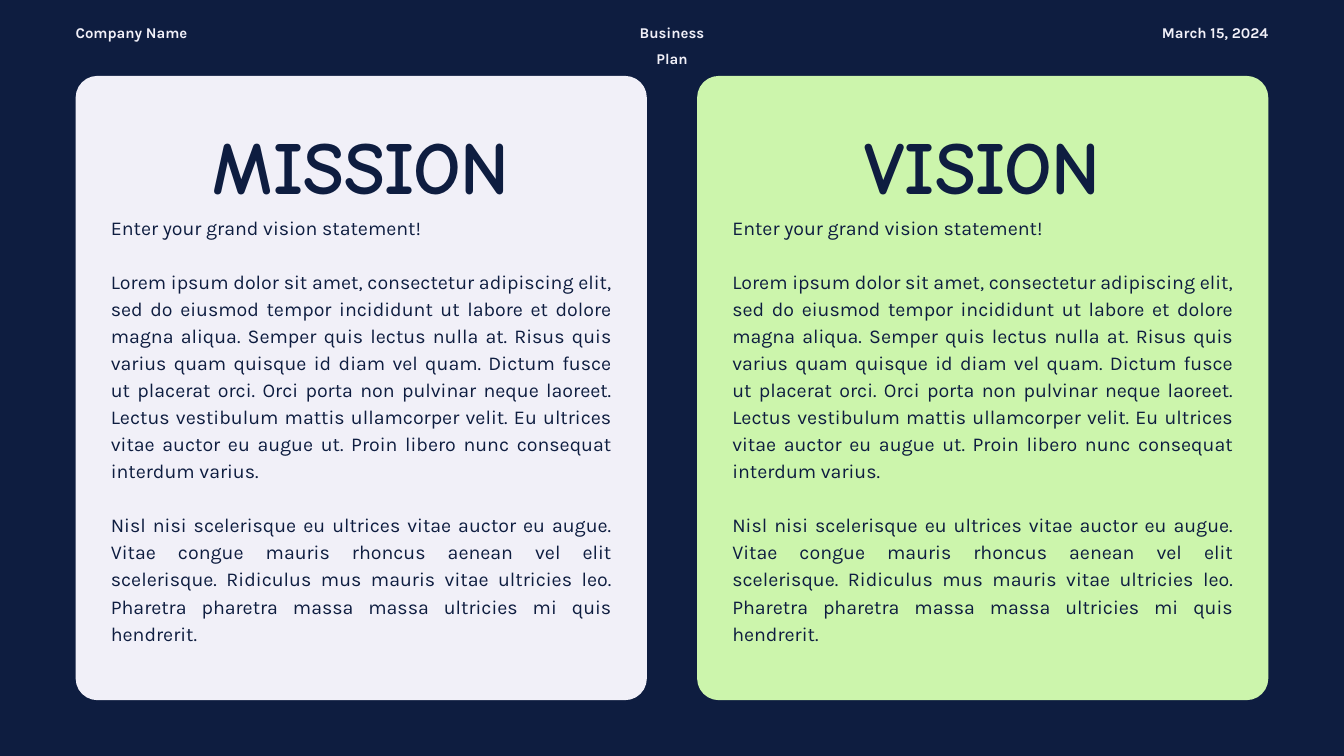
from dataclasses import dataclass

from pptx import Presentation
from pptx.dml.color import RGBColor
from pptx.enum import shapes, text
from pptx.util import Cm, Pt

ALIGN = text.PP_ALIGN


@dataclass(frozen=True)
class Theme:
    navy: str = "0E1D40"
    lavender: str = "F1F0F8"
    lime: str = "CCF5AC"
    heading_font: str = "Comic Neue"
    body_font: str = "Karla"
    heading_size: int = 80
    body_size: int = 21
    header_size: int = 16
    paragraph_gap: int = 29


class PageBuilder:
    def __init__(self, page, theme):
        self.page = page
        self.theme = theme

    def background(self):
        fill = self.page.background.fill
        fill.solid()
        fill.fore_color.rgb = RGBColor.from_string(self.theme.navy)

    def card(self, left, top, width, height, color):
        card = self.page.shapes.add_shape(
            shapes.MSO_SHAPE.ROUNDED_RECTANGLE, Cm(left), Cm(top), Cm(width), Cm(height))
        card.adjustments[0] = 0.038
        card.shadow.inherit = False
        card.fill.solid()
        card.fill.fore_color.rgb = RGBColor.from_string(color)
        card.line.fill.background()

    def fill_text(self, box, paragraphs, font, size, color, align, spacing, bold=False):
        frame = box.text_frame
        frame.word_wrap = True
        frame.auto_size = text.MSO_AUTO_SIZE.SHAPE_TO_FIT_TEXT
        frame.vertical_anchor = text.MSO_ANCHOR.TOP
        frame.margin_left = frame.margin_right = 0
        frame.margin_top = frame.margin_bottom = 0
        for index, words in enumerate(paragraphs):
            para = frame.add_paragraph() if index else frame.paragraphs[0]
            para.alignment = align
            para.line_spacing = spacing
            para.space_before = Pt(self.theme.paragraph_gap if index else 0)
            span = para.add_run()
            span.text = words
            span.font.name = font
            span.font.size = Pt(size)
            span.font.bold = bold
            span.font.color.rgb = RGBColor.from_string(color)

    def text_box(self, left, top, width, height):
        return self.page.shapes.add_textbox(Cm(left), Cm(top), Cm(width), Cm(height))

    def title_box(self, left, top, width, height):
        box = self.page.shapes.title
        box.left, box.top, box.width, box.height = Cm(left), Cm(top), Cm(width), Cm(height)
        return box

    def heading(self, box, words):
        theme = self.theme
        self.fill_text(box, [words], theme.heading_font, theme.heading_size,
                       theme.navy, ALIGN.CENTER, 0.8, bold=True)

    def body(self, box, paragraphs):
        theme = self.theme
        self.fill_text(box, paragraphs, theme.body_font, theme.body_size,
                       theme.navy, ALIGN.JUSTIFY, 1.15)

    def header(self, left, width, words, align):
        theme = self.theme
        box = self.text_box(left, 0.64, width, 0.76)
        self.fill_text(box, [words], theme.body_font, theme.header_size,
                       theme.lavender, align, 1.4, bold=True)


STATEMENT = [
    "Enter your grand vision statement!",
    "Lorem ipsum dolor sit amet, consectetur adipiscing elit, sed do eiusmod tempor "
    "incididunt ut labore et dolore magna aliqua. Semper quis lectus nulla at. Risus quis "
    "varius quam quisque id diam vel quam. Dictum fusce ut placerat orci. Orci porta non "
    "pulvinar neque laoreet. Lectus vestibulum mattis ullamcorper velit. Eu ultrices vitae "
    "auctor eu augue ut. Proin libero nunc consequat interdum varius.",
    "Nisl nisi scelerisque eu ultrices vitae auctor eu augue. Vitae congue mauris rhoncus "
    "aenean vel elit scelerisque. Ridiculus mus mauris vitae ultricies leo. Pharetra "
    "pharetra massa massa ultricies mi quis hendrerit.",
]


def main():
    page_width, margin, gap = 50.8, 2.86, 1.9
    card_width = (page_width - 2 * margin - gap) / 2
    padding = 1.33
    text_width = card_width - 2 * padding

    deck = Presentation()
    deck.slide_width, deck.slide_height = Cm(page_width), Cm(28.58)
    theme = Theme()
    builder = PageBuilder(deck.slides.add_slide(deck.slide_layouts[5]), theme)
    builder.background()

    columns = [
        ("MISSION", theme.lavender, builder.title_box),
        ("VISION", theme.lime, builder.text_box),
    ]
    for index, (name, color, heading_box) in enumerate(columns):
        left = margin + index * (card_width + gap)
        builder.card(left, 2.87, card_width, 23.6, color)
        builder.heading(heading_box(left + padding, 5.18, text_width, 2.74), name)
        builder.body(builder.text_box(left + padding, 8.03, text_width, 16.38), STATEMENT)

    title = builder.page.shapes.title.element
    title.getparent().append(title)

    header_width = 3.71
    builder.header(margin, 4.4, "Company Name", ALIGN.LEFT)
    builder.header((page_width - header_width) / 2, header_width, "Business Plan", ALIGN.CENTER)
    builder.header(page_width - margin - 4.1, 4.1, "March 15, 2024", ALIGN.RIGHT)

    deck.save("out.pptx")


if __name__ == "__main__":
    main()
